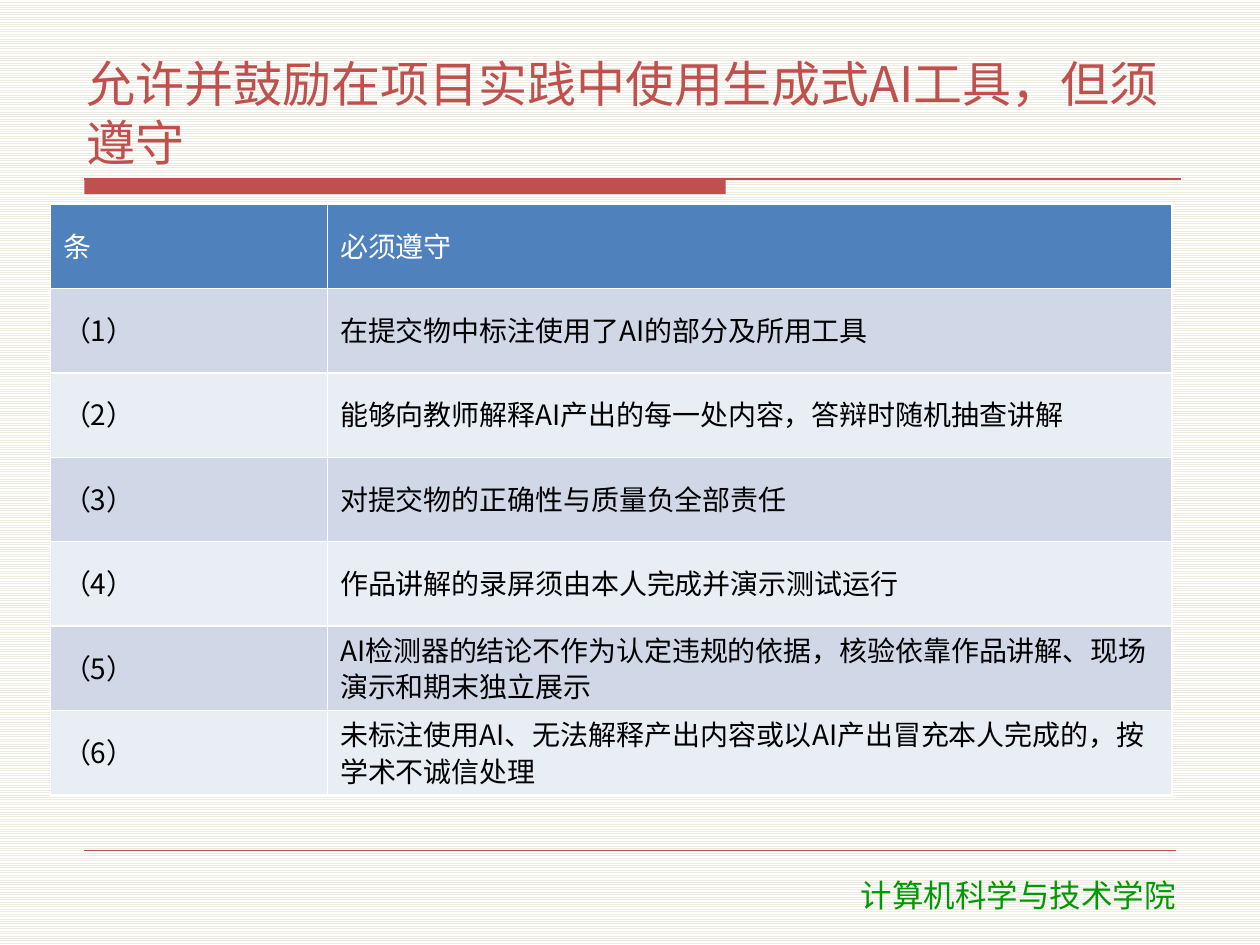
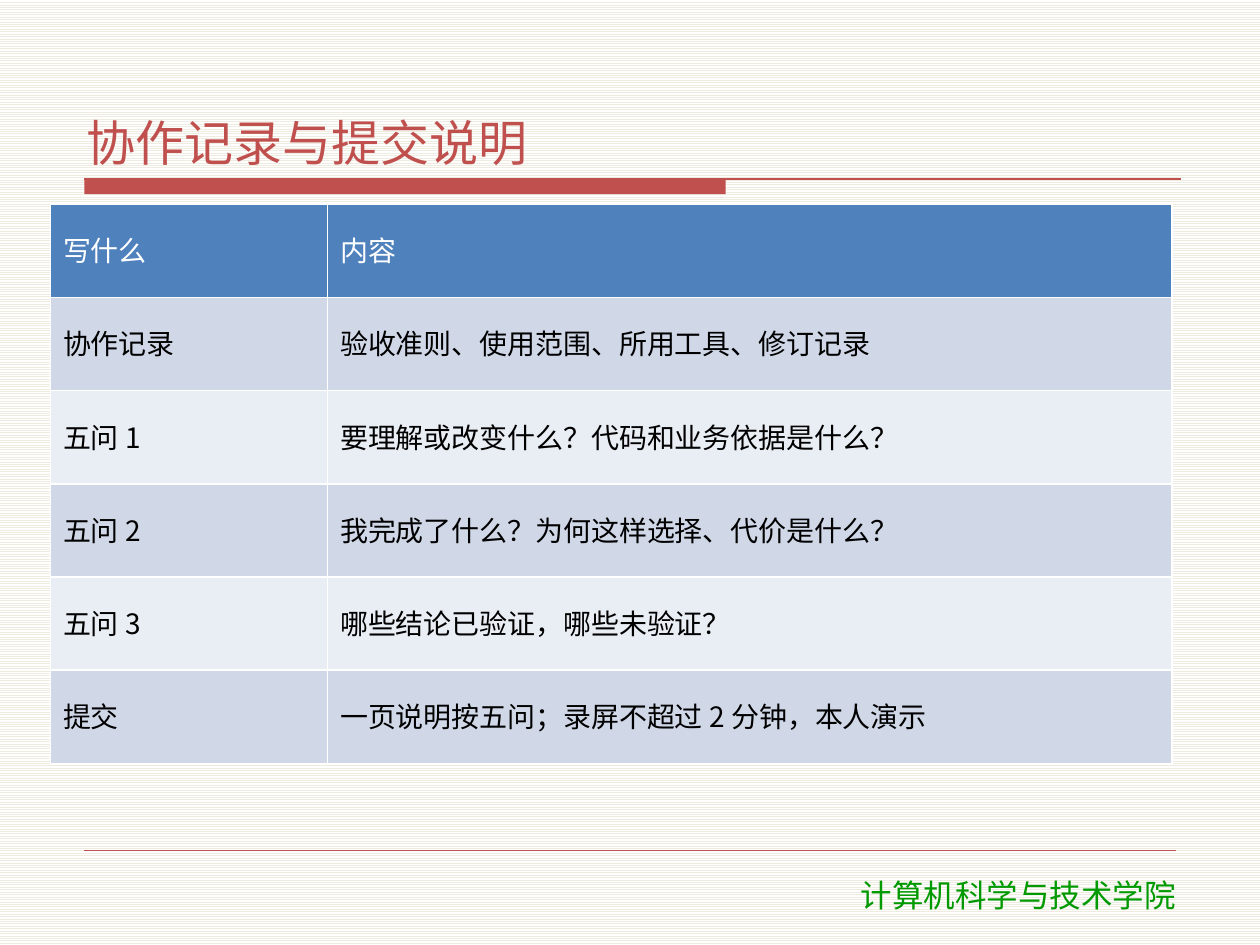
from dataclasses import dataclass

from lxml import etree
from pptx import Presentation
from pptx.dml.color import RGBColor
from pptx.enum.dml import MSO_PATTERN
from pptx.enum.shapes import MSO_CONNECTOR, MSO_SHAPE
from pptx.enum.text import MSO_ANCHOR, MSO_AUTO_SIZE, PP_ALIGN
from pptx.oxml.ns import qn
from pptx.util import Inches, Pt

COLORS = {
    "red": "C0504D",
    "green": "009900",
    "header": "4F81BD",
    "band_dark": "D0D8E8",
    "band_light": "E9EDF4",
    "stripe": "EEECE1",
    "white": "FFFFFF",
    "black": "000000",
}
BODY_FONT = "Noto Sans CJK SC"
FOOTER_FONT = "DejaVu Sans"
FOOTER_TEXT = "计算机科学与技术学院"

TITLE_ONLY = 5
STRIPES = MSO_PATTERN.LIGHT_HORIZONTAL
RECTANGLE = MSO_SHAPE.RECTANGLE
STRAIGHT = MSO_CONNECTOR.STRAIGHT
MIDDLE, BOTTOM = MSO_ANCHOR.MIDDLE, MSO_ANCHOR.BOTTOM
LEFT, CENTER = PP_ALIGN.LEFT, PP_ALIGN.CENTER
NO_AUTOFIT = MSO_AUTO_SIZE.NONE

TABLE_LEFT, TABLE_TOP = 0.4, 1.62
COLUMN_WIDTHS = (2.2, 6.7)


@dataclass(frozen=True)
class Rule:
    """A horizontal line of the slide frame."""
    left: float
    right: float
    top: float
    weight: float


@dataclass(frozen=True)
class TableSlide:
    """A titled slide whose table starts with a header row."""
    title: str
    row_height: float
    rows: tuple[tuple[str, str], ...]


RULES = (Rule(0.67, 9.37, 1.42, 0.75), Rule(0.67, 9.33, 6.75, 0.25))

SLIDES = (
    TableSlide(
        "允许并鼓励在项目实践中使用生成式AI工具，但须遵守",
        0.67,
        (
            ("条", "必须遵守"),
            ("（1）", "在提交物中标注使用了AI的部分及所用工具"),
            ("（2）", "能够向教师解释AI产出的每一处内容，答辩时随机抽查讲解"),
            ("（3）", "对提交物的正确性与质量负全部责任"),
            ("（4）", "作品讲解的录屏须由本人完成并演示测试运行"),
            ("（5）", "AI检测器的结论不作为认定违规的依据，核验依靠作品讲解、现场演示和期末独立展示"),
            ("（6）", "未标注使用AI、无法解释产出内容或以AI产出冒充本人完成的，按学术不诚信处理"),
        ),
    ),
    TableSlide(
        "协作记录与提交说明",
        0.74,
        (
            ("写什么", "内容"),
            ("协作记录", "验收准则、使用范围、所用工具、修订记录"),
            ("五问 1", "要理解或改变什么？代码和业务依据是什么？"),
            ("五问 2", "我完成了什么？为何这样选择、代价是什么？"),
            ("五问 3", "哪些结论已验证，哪些未验证？"),
            ("提交", "一页说明按五问；录屏不超过 2 分钟，本人演示"),
        ),
    ),
)


def color(name: str) -> RGBColor:
    return RGBColor.from_string(COLORS[name])


def set_text(text_frame, text: str, size: float, font_name: str,
             color_name: str, alignment=LEFT) -> None:
    """Fill a frame with one formatted paragraph."""
    text_frame.text = text
    text_frame.word_wrap = True
    paragraph = text_frame.paragraphs[0]
    paragraph.alignment = alignment
    font = paragraph.runs[0].font
    font.size = Pt(size)
    font.bold = False
    font.name = font_name
    font.color.rgb = color(color_name)
    latin = paragraph.runs[0]._r.rPr.find(qn("a:latin"))
    east_asian = etree.Element(qn("a:ea"), typeface=font_name)
    latin.addnext(east_asian)


def add_rule(slide, rule: Rule) -> None:
    top = Inches(rule.top)
    connector = slide.shapes.add_connector(
        STRAIGHT, Inches(rule.left), top, Inches(rule.right), top)
    connector.line.color.rgb = color("red")
    connector.line.width = Pt(rule.weight)
    etree.SubElement(connector._element.spPr, qn("a:effectLst"))


def add_frame(slide) -> None:
    """Draw the title bar, the two rules and the footer."""
    bar = slide.shapes.add_shape(
        RECTANGLE, Inches(0.67), Inches(1.42), Inches(5.09), Inches(0.12))
    bar.shadow.inherit = False
    bar.fill.solid()
    bar.fill.fore_color.rgb = color("red")
    bar.line.fill.background()
    for rule in RULES:
        add_rule(slide, rule)
    footer = slide.shapes.add_textbox(
        Inches(6.07), Inches(6.9), Inches(4.02), Inches(0.4))
    set_text(footer.text_frame, FOOTER_TEXT, 18, FOOTER_FONT, "green", CENTER)


def set_title(slide, text: str) -> None:
    title = slide.shapes.title
    title.left, title.top = Inches(0.63), Inches(0.33)
    title.width, title.height = Inches(8.75), Inches(1.05)
    text_frame = title.text_frame
    text_frame.auto_size = NO_AUTOFIT
    text_frame.vertical_anchor = BOTTOM
    text_frame.margin_left = text_frame.margin_right = Inches(0.06)
    text_frame.margin_top = text_frame.margin_bottom = Inches(0.02)
    set_text(text_frame, text, 28, BODY_FONT, "red")
    text_frame.paragraphs[0].space_after = Pt(2)


def set_borders(cell) -> None:
    """Give a cell thin white lines on all four sides."""
    properties = cell._tc.get_or_add_tcPr()
    for side in ("lnL", "lnR", "lnT", "lnB"):
        line = etree.SubElement(properties, qn(f"a:{side}"), w=str(Pt(1)))
        fill = etree.SubElement(line, qn("a:solidFill"))
        etree.SubElement(fill, qn("a:srgbClr"), val=COLORS["white"])


def format_cell(cell, text: str, row_index: int) -> None:
    is_header = row_index == 0
    band = "band_dark" if row_index % 2 else "band_light"
    set_borders(cell)
    cell.fill.solid()
    cell.fill.fore_color.rgb = color("header" if is_header else band)
    cell.vertical_anchor = MIDDLE
    set_text(cell.text_frame, text, 16, BODY_FONT,
             "white" if is_header else "black")
    paragraph = cell.text_frame.paragraphs[0]
    paragraph.line_spacing = 0.9
    paragraph.space_after = Pt(2)


def add_rules_table(slide, content: TableSlide) -> None:
    row_count = len(content.rows)
    table = slide.shapes.add_table(
        row_count, len(COLUMN_WIDTHS), Inches(TABLE_LEFT), Inches(TABLE_TOP),
        Inches(sum(COLUMN_WIDTHS)), Inches(content.row_height * row_count)).table
    for column, width in zip(table.columns, COLUMN_WIDTHS):
        column.width = Inches(width)
    for row_index, texts in enumerate(content.rows):
        table.rows[row_index].height = Inches(content.row_height)
        for column_index, text in enumerate(texts):
            format_cell(table.cell(row_index, column_index), text, row_index)


def main() -> None:
    presentation = Presentation()
    presentation.slide_width = Inches(10)
    presentation.slide_height = Inches(7.5)

    # Striped background shared by all slides
    background = presentation.slide_master.background.fill
    background.patterned()
    background.pattern = STRIPES
    background.fore_color.rgb = color("stripe")
    background.back_color.rgb = color("white")

    for content in SLIDES:
        slide = presentation.slides.add_slide(
            presentation.slide_layouts[TITLE_ONLY])
        add_frame(slide)
        set_title(slide, content.title)
        add_rules_table(slide, content)

    presentation.save("out.pptx")


if __name__ == "__main__":
    main()
